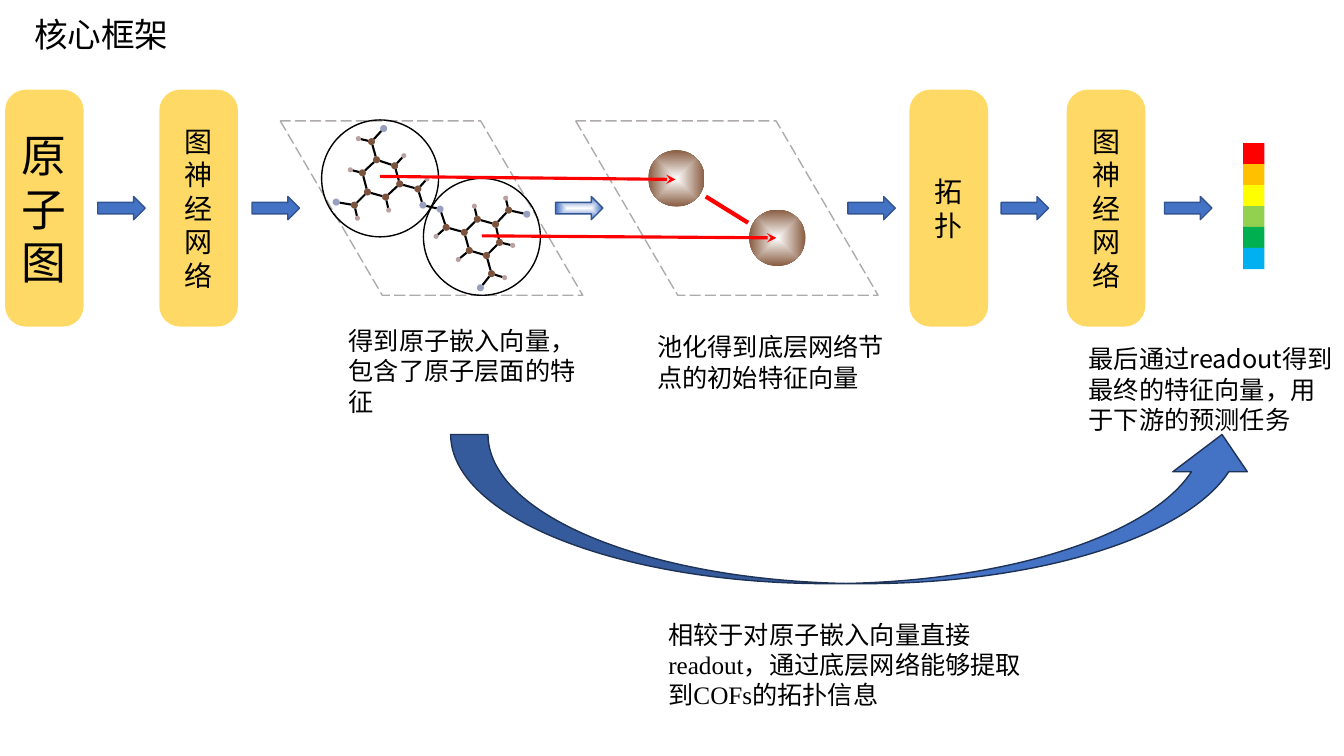
import math

import pptx
import pptx.dml.color
import pptx.enum.dml
import pptx.enum.shapes
import pptx.enum.text
import pptx.oxml
import pptx.oxml.ns
import pptx.util
from pptx.util import Inches

SHAPE = pptx.enum.shapes.MSO_SHAPE


class Theme:
    sans, serif = "Noto Sans CJK SC", "Times New Roman"
    title, module_large, module, body = 24, 32, 20, 18
    text, module_fill = "000000", "FFD966"
    blue, blue_edge, curve_edge = "4472C4", "325491", "1E3256"
    plane_edge, outline, highlight = "AFABAB", "000000", "FF0000"
    atoms = {"C": "7C543D", "N": "989FBF", "H": "BAA1A1"}
    vector = ["FF0000", "FFC000", "FFFF00", "92D050", "00B050", "00B0F0"]
    sphere_stops = [(0, "FFFFFF"), (100, "885C41")]
    arrow_stops = [(0, "FFFFFF"), (98, "4472C4"), (100, "4472C4")]


# text, left, size
MODULES = [
    ("原子图", 0.05, Theme.module_large),
    ("图神经网络", 1.58, Theme.module),
    ("拓扑", 9.02, Theme.module),
    ("图神经网络", 10.58, Theme.module),
]
MODULE_TOP, MODULE_WIDTH, MODULE_HEIGHT = 0.89, 0.78, 2.35

FLOW_ARROW_LEFTS = [0.97, 2.5, 8.41, 9.93, 11.55]
POOLING_ARROW_LEFT = 5.51

# text, (left, top, width, height), size, font
TEXTS = [
    ("得到原子嵌入向量，包含了原子层面的特征", (3.36, 3.18, 2.63, 1.01), Theme.body, Theme.sans),
    ("池化得到底层网络节点的初始特征向量", (6.42, 3.24, 2.63, 0.71), Theme.body, Theme.sans),
    ("最后通过readout得到最终的特征向量，用于下游的预测任务",
     (10.7, 3.36, 2.63, 1.01), Theme.body, Theme.sans),
    ("相较于对原子嵌入向量直接readout，通过底层网络能够提取到COFs的拓扑信息",
     (6.53, 6.09, 3.76, 1.01), Theme.body, Theme.serif),
    ("核心框架", (0.24, 0.09, 8.97, 0.5), Theme.title, Theme.sans),
]

# element, left, top
ATOMS = [
    ("N", 3.30, 1.97), ("C", 3.48, 2.00), ("C", 3.61, 1.87), ("C", 3.56, 1.68),
    ("C", 3.70, 1.55), ("C", 3.88, 1.61), ("C", 3.93, 1.79), ("C", 3.79, 1.92),
    ("C", 4.11, 1.84), ("N", 4.16, 2.00), ("N", 4.33, 2.04), ("C", 4.39, 2.22),
    ("C", 4.57, 2.27), ("C", 4.70, 2.14), ("C", 4.88, 2.19), ("C", 4.92, 2.37),
    ("C", 4.79, 2.50), ("C", 4.62, 2.45), ("C", 5.01, 2.05), ("N", 5.19, 2.09),
    ("C", 4.84, 2.68), ("N", 4.73, 2.82), ("C", 3.65, 1.37), ("N", 3.77, 1.24),
    ("H", 3.52, 2.14), ("H", 3.83, 2.06), ("H", 3.45, 1.66), ("H", 3.53, 1.35),
    ("H", 3.98, 1.52), ("H", 4.21, 1.75), ("H", 4.30, 2.32), ("H", 4.52, 2.55),
    ("H", 4.68, 2.02), ("H", 4.99, 1.94), ("H", 5.06, 2.41), ("H", 4.98, 2.73),
]
ATOM_SIZES = {"C": 0.07, "N": 0.07, "H": 0.05}
# pairs of positions in ATOMS
BONDS = [
    (0, 1), (1, 24), (1, 2), (7, 2), (2, 3), (4, 3), (5, 4), (6, 5), (7, 6), (8, 6),
    (7, 25), (9, 8), (29, 8), (10, 9), (11, 10), (30, 11), (11, 12), (12, 13),
    (12, 17), (13, 14), (14, 15), (15, 16), (16, 17), (18, 14), (19, 18), (18, 33),
    (34, 15), (20, 16), (31, 17), (21, 20), (20, 35), (4, 22), (5, 28), (22, 23),
    (27, 22), (32, 13), (26, 3),
]

PLANE_LEFTS = {"atoms": 2.78, "nodes": 5.71}
SPHERES = [(6.43, 1.49), (7.43, 2.08)]
RINGS = [(3.19, 1.19), (4.2, 1.77)]
SPHERE_LINK = ((7, 1.95), (7.42, 2.21))
POOLING_LINES = [((3.77, 1.75), (6.7, 1.78)), ((4.78, 2.34), (7.7, 2.36))]
VECTOR_LEFT, VECTOR_TOP, VECTOR_CELL = 12.33, 1.42, 0.208
CURVE_BOX = (7.74, 1.04, 1.48, 8.02)


def rgb(value):
    return pptx.dml.color.RGBColor.from_string(value)


def add_xml(parent, xml):
    element = pptx.oxml.parse_xml(xml.replace(">", " " + pptx.oxml.ns.nsdecls("a") + ">", 1))
    parent.append(element)
    return element


def add_shape(shapes, kind, box, fill=None, edge=None):
    shape = shapes.add_shape(kind, *map(Inches, box))
    shape.shadow.inherit = False
    if fill:
        shape.fill.solid()
        shape.fill.fore_color.rgb = rgb(fill)
    else:
        shape.fill.background()
    if edge:
        shape.line.color.rgb = rgb(edge)
        shape.line.width = pptx.util.Pt(1)
    else:
        shape.line.fill.background()
    return shape


def add_line(shapes, start, end, color, width, arrow=False):
    line = shapes.add_connector(
        pptx.enum.shapes.MSO_CONNECTOR.STRAIGHT, *map(Inches, (*start, *end)))
    line.line.color.rgb = rgb(color)
    line.line.width = pptx.util.Pt(width)
    if arrow:
        add_xml(line.line._get_or_add_ln(), '<a:tailEnd type="stealth"></a:tailEnd>')
    add_xml(line._element.spPr, "<a:effectLst></a:effectLst>")


def set_radial_gradient(shape, stops):
    """Fill the shape with stops that run from its centre to its edge."""
    stop_xml = "".join(
        f'<a:gs pos="{position * 1000}"><a:srgbClr val="{color}"/></a:gs>'
        for position, color in stops)
    properties = shape._element.spPr
    gradient = add_xml(
        properties,
        f'<a:gradFill><a:gsLst>{stop_xml}</a:gsLst><a:path path="shape">'
        '<a:fillToRect l="50000" t="50000" r="50000" b="50000"/></a:path></a:gradFill>')
    properties.replace(properties.find(pptx.oxml.ns.qn("a:noFill")), gradient)


def write(shape, text, size, font):
    frame = shape.text_frame
    frame.word_wrap = True
    paragraph = frame.paragraphs[0]
    paragraph.text = text
    paragraph.font.size = pptx.util.Pt(size)
    paragraph.font.name = font
    paragraph.font.color.rgb = rgb(Theme.text)
    add_xml(paragraph.font._element, f'<a:ea typeface="{Theme.sans}"></a:ea>')
    return paragraph


def add_plane(shapes, left):
    plane = add_shape(shapes, SHAPE.PARALLELOGRAM, (left, 1.2, 3, 1.73), edge=Theme.plane_edge)
    plane.adjustments[0] = 0.585
    plane.line.dash_style = pptx.enum.dml.MSO_LINE.LONG_DASH
    plane._element.spPr.xfrm.set("flipV", "1")


def add_molecule(shapes):
    centres = []
    for element, left, top in ATOMS:
        size = ATOM_SIZES[element]
        add_shape(shapes, SHAPE.OVAL, (left, top, size, size), Theme.atoms[element])
        centres.append((left + size / 2, top + size / 2, size / 2))
    for first, second in BONDS:
        x1, y1, radius1 = centres[first]
        x2, y2, radius2 = centres[second]
        length = math.hypot(x2 - x1, y2 - y1)
        dx, dy = (x2 - x1) / length, (y2 - y1) / length
        add_line(shapes, (x1 + dx * radius1, y1 + dy * radius1),
                 (x2 - dx * radius2, y2 - dy * radius2), Theme.outline, 1.5)


def add_block_arrow(shapes, left, fill=None):
    return add_shape(shapes, SHAPE.RIGHT_ARROW, (left, 1.95, 0.47, 0.23), fill, Theme.blue_edge)


def main():
    presentation = pptx.Presentation()
    presentation.slide_width, presentation.slide_height = Inches(13.33), Inches(7.5)
    shapes = presentation.slides.add_slide(presentation.slide_layouts[6]).shapes

    for text, left, size in MODULES:
        module = add_shape(shapes, SHAPE.ROUNDED_RECTANGLE,
                           (left, MODULE_TOP, MODULE_WIDTH, MODULE_HEIGHT), Theme.module_fill)
        module.adjustments[0] = 0.265
        module.text_frame.vertical_anchor = pptx.enum.text.MSO_ANCHOR.MIDDLE
        write(module, text, size, Theme.sans).alignment = pptx.enum.text.PP_ALIGN.CENTER
    for left in FLOW_ARROW_LEFTS:
        add_block_arrow(shapes, left, Theme.blue)

    atom_group = shapes.add_group_shape().shapes
    add_plane(atom_group, PLANE_LEFTS["atoms"])
    add_molecule(atom_group)
    set_radial_gradient(add_block_arrow(shapes, POOLING_ARROW_LEFT), Theme.arrow_stops)

    node_group = shapes.add_group_shape().shapes
    for left, top in SPHERES:
        sphere = add_shape(node_group, SHAPE.OVAL, (left, top, 0.56, 0.56))
        set_radial_gradient(sphere, Theme.sphere_stops)
    add_plane(node_group, PLANE_LEFTS["nodes"])
    add_line(shapes, *SPHERE_LINK, Theme.highlight, 3)
    for left, top in RINGS:
        add_shape(shapes, SHAPE.OVAL, (left, top, 1.16, 1.16), edge=Theme.outline)
    for start, end in POOLING_LINES:
        add_line(shapes, start, end, Theme.highlight, 2.25, arrow=True)

    for row, color in enumerate(Theme.vector):
        add_shape(shapes, SHAPE.RECTANGLE,
                  (VECTOR_LEFT, VECTOR_TOP + row * VECTOR_CELL, 0.21, 0.21), color)
    curve = add_shape(shapes, SHAPE.CURVED_RIGHT_ARROW, CURVE_BOX, Theme.blue, Theme.curve_edge)
    curve.rotation = 270
    for text, box, size, font in TEXTS:
        text_box = shapes.add_textbox(*map(Inches, box))
        text_box.text_frame.auto_size = pptx.enum.text.MSO_AUTO_SIZE.SHAPE_TO_FIT_TEXT
        write(text_box, text, size, font)

    presentation.save("out.pptx")


if __name__ == "__main__":
    main()
